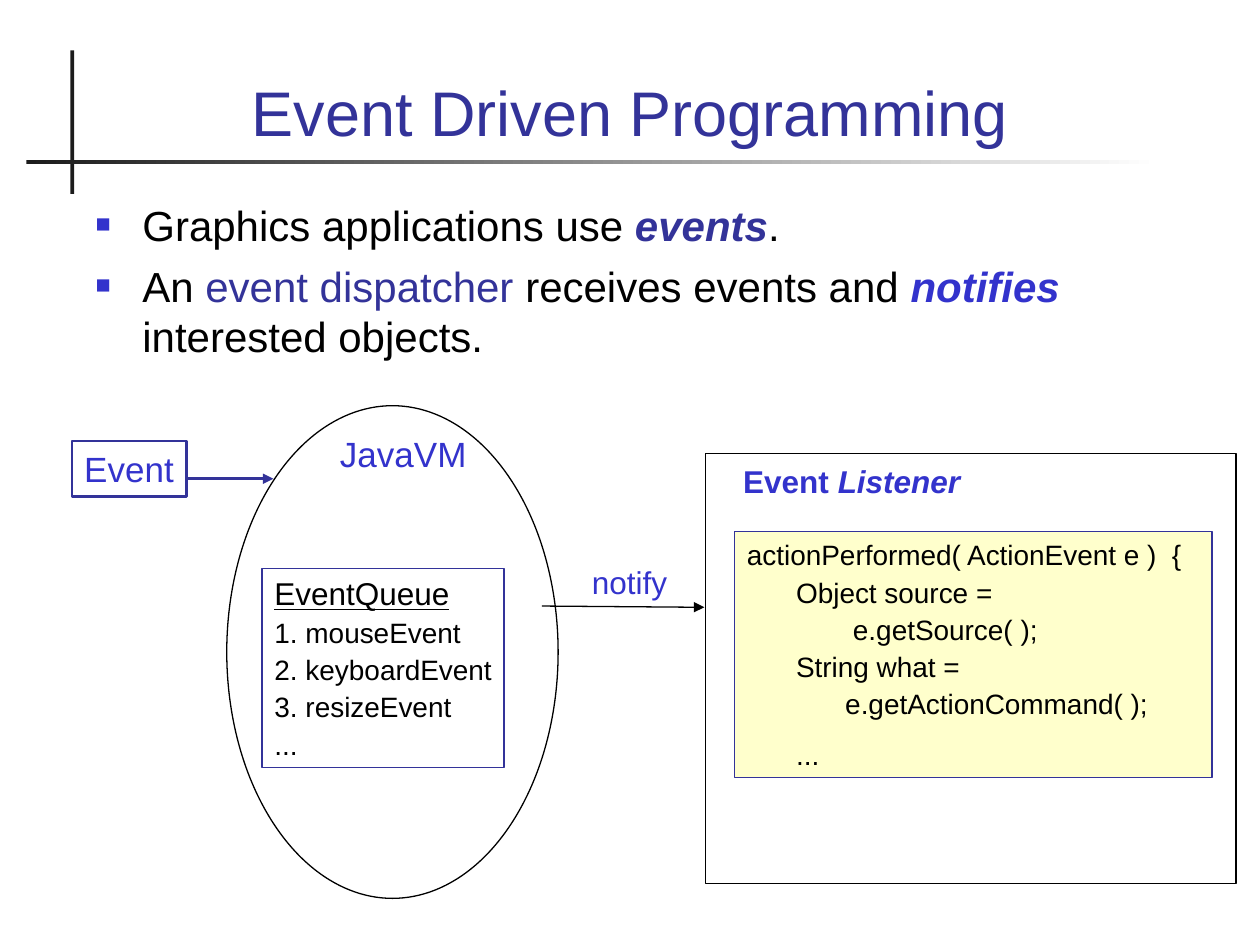
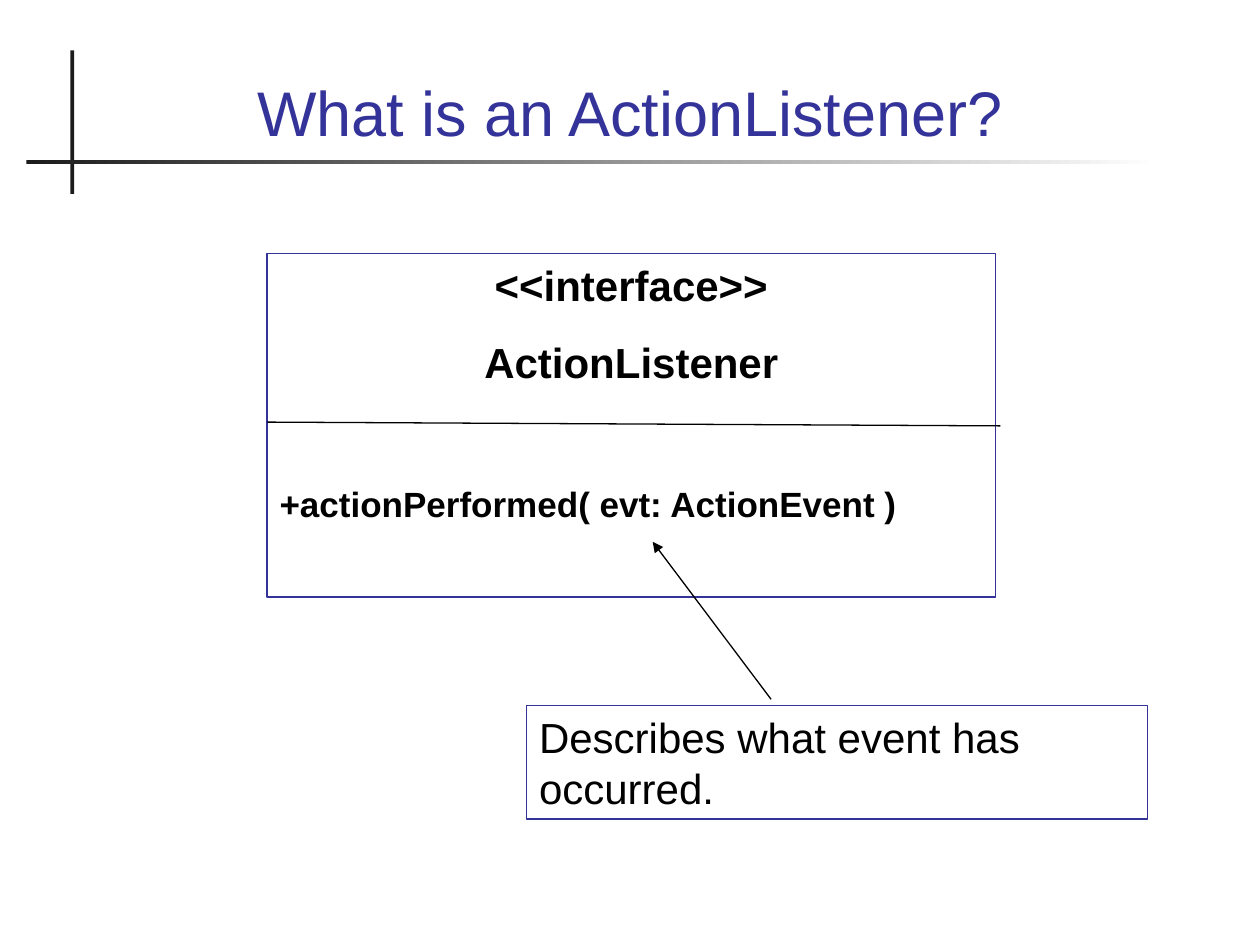
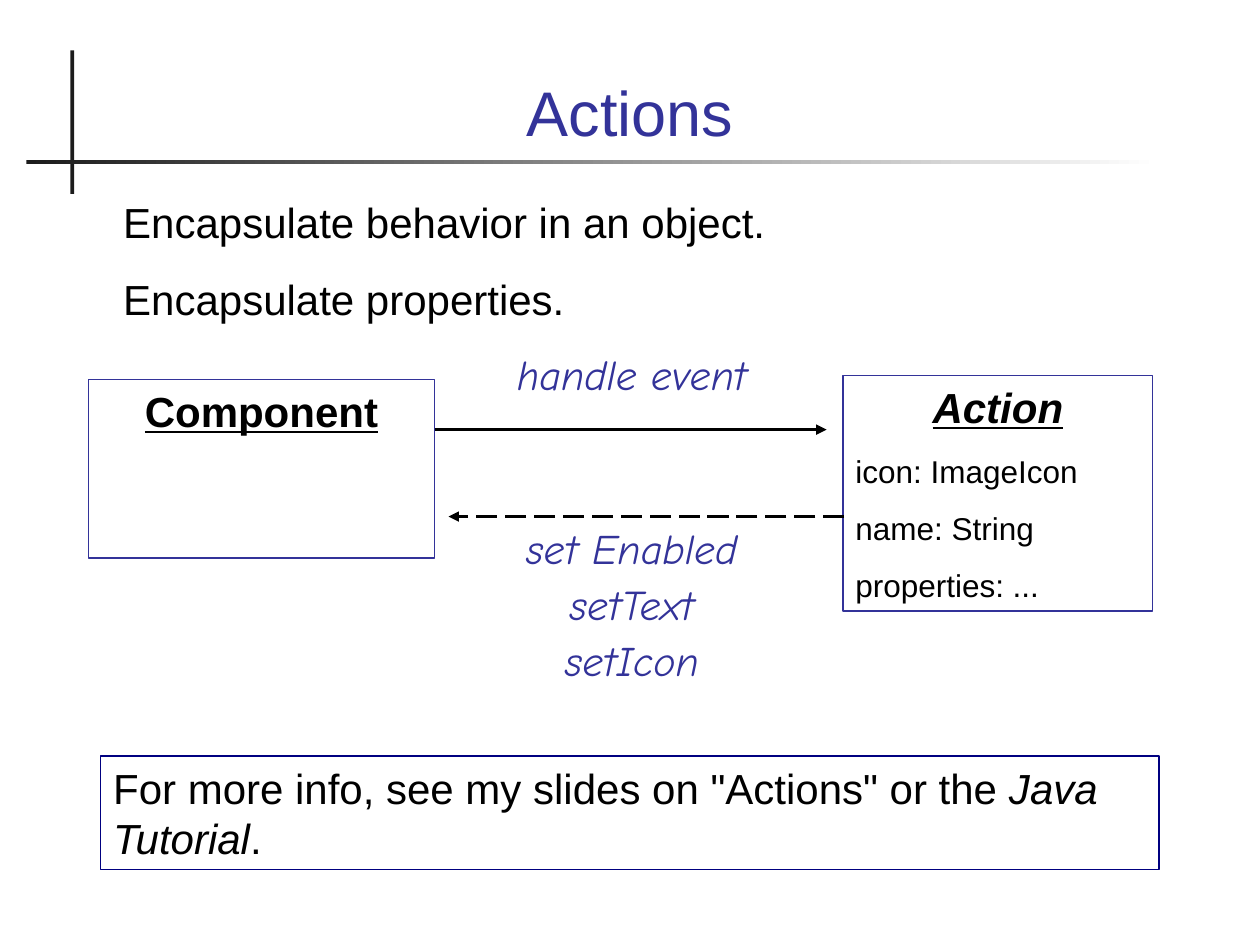
import pptx
import pptx.util
import pptx.dml.color
import pptx.enum.dml
import pptx.enum.shapes
import pptx.enum.text
import pptx.oxml
from pptx.oxml.ns import qn
from lxml import etree

Inches = pptx.util.Inches
Pt = pptx.util.Pt
Shape = pptx.enum.shapes.MSO_SHAPE
Align = pptx.enum.text.PP_ALIGN
Anchor = pptx.enum.text.MSO_ANCHOR


class Theme:
    navy, blue, deep = "333399", "3333CC", "000080"
    black, white, dark, cream = "000000", "FFFFFF", "1C1C1C", "FFFFCC"
    sans, comic = "Arial", "Comic Neue"
    title, large, mid, small, code = 36, 24, 20, 18, 16
    thin, thick = 0.75, 1.5
    title_at = (0.67, 0.28, 8.66, 0.95)
    body_at = (0.66, 1.53, 8.66, 1.52)
    stem_at = (0.56, 0.4, 0.03, 1.14)
    rule_at = (0.21, 1.27, 8.99, 0.03)


T = Theme
MID = {"size": T.mid, "color": T.blue, "wrap": False}
LABEL = {"size": T.small, "color": T.blue, "wrap": False}
SPEECH = {"font": T.comic, "color": T.navy, "italic": True, "align": Align.CENTER}
CODE = {"size": T.code, "gap": 2}
HEAD = {"bold": True, "align": Align.CENTER}
PLAIN = {"size": T.small, "gap": 11.2}
TAB = 0.39

# A paragraph is a string or a list of runs; a run is a string or (text, format).
# The format of the first run also sets its paragraph's gap, left and align.
SLIDES = [
    {
        "title": "Event Driven Programming",
        "body": [
            ["Graphics applications use ",
             ("events", {"color": T.navy, "bold": True, "italic": True}), "."],
            ["An ", ("event dispatcher", {"color": T.navy}), " receives events and ",
             ("notifies", {"color": T.blue, "bold": True, "italic": True}),
             " interested objects."],
        ],
        "parts": [
            ("box", (0.57, 3.5, 0.91, 0.44), ["Event"], {"width": T.thick, **MID}),
            ("text", (2.6, 3.38, 1.2, 0.44), ["JavaVM"], MID),
            ("box", (2.08, 4.51, 1.92, 1.58), [
                [("EventQueue", {"size": T.small, "underline": True})],
                "1. mouseEvent", "2. keyboardEvent", "3. resizeEvent", "...",
            ], {"wrap": False, **CODE}),
            ("oval", (1.8, 3.22, 2.63, 3.91), [], {"line": T.black}),
            ("arrow", (1.49, 3.8, 2.17, 3.8), {"color": T.navy, "width": T.thick}),
            ("box", (5.83, 4.22, 3.79, 1.95), [
                "actionPerformed( ActionEvent e )  {",
                [("Object source =", {"left": TAB})],
                [(" e.getSource( );", {"left": 2 * TAB})],
                [("String what =", {"left": TAB})],
                [("e.getActionCommand( );", {"left": 2 * TAB})],
                [("...", {"left": TAB, "gap": 10})],
            ], {"fill": T.cream, **CODE}),
            ("text", (5.8, 3.62, 1.92, 0.4),
             [["Event ", ("Listener", {"italic": True})]], {"bold": True, **LABEL}),
            ("box", (5.6, 3.6, 4.21, 3.41), [], {"line": T.black}),
            ("arrow", (4.3, 4.81, 5.59, 4.82), {}),
            ("text", (4.6, 4.42, 0.8, 0.4), ["notify"], LABEL),
        ],
    },
    {
        "title": "What is an ActionListener?",
        "parts": [
            ("box", (2.12, 2.01, 5.78, 2.73), [
                "<<interface>>", "ActionListener",
                [("+actionPerformed( evt: ActionEvent )",
                  {"size": T.mid, "align": Align.LEFT, "gap": 55})],
            ], {"gap": 15, **HEAD}),
            ("arrow", (2.12, 3.35, 7.94, 3.38), {"head": False}),
            ("box", (4.18, 5.6, 4.93, 0.9), ["Describes what event has occurred."], {}),
            ("arrow", (6.12, 5.55, 5.18, 4.3), {}),
        ],
    },
    {
        "title": "Actions",
        "parts": [
            ("box", (0.7, 3.01, 2.75, 1.42), ["Component"], {"underline": True, **HEAD}),
            ("box", (6.69, 2.98, 2.46, 1.87), [
                [("Action", {"size": T.large, "italic": True, "underline": True, **HEAD})],
                "icon: ImageIcon", "name: String", "properties: ...",
            ], PLAIN),
            ("arrow", (3.45, 3.41, 6.56, 3.41), {"width": T.thick}),
            ("text", (3.51, 2.72, 3.01, 0.5), ["handle event"], SPEECH),
            ("arrow", (6.7, 4.1, 3.56, 4.1), {"width": T.thick, "dash": True}),
            ("text", (3.51, 4.1, 3.01, 1.39), ["set Enabled", "setText", "setIcon"],
             {"gap": 3, **SPEECH}),
            ("text", (0.88, 1.51, 8.27, 1.11),
             ["Encapsulate behavior in an object.", "Encapsulate properties."], {"gap": 15}),
            ("box", (0.8, 6, 8.4, 0.9), [
                ['For more info, see my slides on "Actions" or the ',
                 ("Java Tutorial", {"italic": True}), "."],
            ], {"line": T.deep}),
        ],
    },
]


def rgb(code):
    return pptx.dml.color.RGBColor.from_string(code)


def place(at):
    return [Inches(n) for n in at]


def add_bullet(para):
    props = para._p.get_or_add_pPr()
    props.set("marL", str(Inches(0.37)))
    props.set("indent", str(-Inches(0.37)))
    color = etree.SubElement(props, qn("a:buClr"))
    etree.SubElement(color, qn("a:srgbClr"), val=T.blue)
    etree.SubElement(props, qn("a:buSzPct"), val="60000")
    etree.SubElement(props, qn("a:buFont"), typeface=T.sans)
    etree.SubElement(props, qn("a:buChar"), char="■")


def write(frame, paras, wrap=True, anchor=Anchor.TOP, bullet=False, **base):
    frame.word_wrap = wrap
    frame.auto_size = pptx.enum.text.MSO_AUTO_SIZE.NONE
    frame.vertical_anchor = anchor
    for i, runs in enumerate(paras):
        para = frame.add_paragraph() if i else frame.paragraphs[0]
        if bullet:
            add_bullet(para)
        runs = [runs] if isinstance(runs, str) else runs
        runs = [(run, {}) if isinstance(run, str) else run for run in runs]
        lead = base | runs[0][1]
        para.alignment = lead.get("align", Align.LEFT)
        para.space_before = Pt(lead.get("gap", 0) if i else 0)
        if "left" in lead:
            para._p.get_or_add_pPr().set("marL", str(Inches(lead["left"])))
        for text, extra in runs:
            look = base | extra
            run = para.add_run()
            run.text = text
            font = run.font
            font.name = look.get("font", T.sans)
            font.size = Pt(look.get("size", T.large))
            font.color.rgb = rgb(look.get("color", T.black))
            font.bold = look.get("bold", False)
            font.italic = look.get("italic", False)
            font.underline = look.get("underline", False)


def add_shape(slide, kind, at, fill=None, line=None, width=T.thin):
    shape = slide.shapes.add_shape(kind, *place(at))
    shape.shadow.inherit = False
    if fill:
        shape.fill.solid()
        shape.fill.fore_color.rgb = rgb(fill)
    else:
        shape.fill.background()
    if line:
        shape.line.color.rgb = rgb(line)
        shape.line.width = Pt(width)
    else:
        shape.line.fill.background()
    return shape


def add_box(slide, at, paras, kind=Shape.RECTANGLE, fill=None, line=T.navy,
            width=T.thin, **look):
    shape = add_shape(slide, kind, at, fill, line, width)
    if paras:
        write(shape.text_frame, paras, **look)


def add_oval(slide, at, paras, **look):
    add_box(slide, at, paras, kind=Shape.OVAL, **look)


def add_text(slide, at, paras, **look):
    write(slide.shapes.add_textbox(*place(at)).text_frame, paras, **look)


def add_arrow(slide, ends, color=T.black, width=T.thin, head=True, dash=False):
    kind = pptx.enum.shapes.MSO_CONNECTOR.STRAIGHT
    link = slide.shapes.add_connector(kind, *place(ends))
    link.line.color.rgb = rgb(color)
    link.line.width = Pt(width)
    if dash:
        link.line.dash_style = pptx.enum.dml.MSO_LINE.LONG_DASH
    if head:
        etree.SubElement(link.line._get_or_add_ln(), qn("a:tailEnd"), type="triangle")
    etree.SubElement(link._element.spPr, qn("a:effectLst"))


def add_cross(deck, slide):
    """Draw the stem and the fading rule, then move them to the slide master."""
    stem = add_shape(slide, Shape.RECTANGLE, T.stem_at, fill=T.dark)
    rule = add_shape(slide, Shape.RECTANGLE, T.rule_at)
    rule.fill.gradient()
    rule.fill.gradient_angle = 0
    for stop, color in zip(rule.fill.gradient_stops, (T.dark, T.white)):
        stop.color.rgb = rgb(color)
    tree = deck.slide_master.shapes.element
    for i, shape in enumerate((stem, rule)):
        shape.element.nvSpPr.cNvPr.set("id", str(100 + i))
        tree.insert(2 + i, shape.element)


DRAW = {"box": add_box, "oval": add_oval, "text": add_text, "arrow": add_arrow}


def fill_holder(holder, at, paras, **look):
    holder.left, holder.top, holder.width, holder.height = place(at)
    write(holder.text_frame, paras, **look)


def main():
    deck = pptx.Presentation()
    deck.slide_width, deck.slide_height = Inches(10), Inches(7.5)
    for i, page in enumerate(SLIDES):
        layout = deck.slide_layouts[1 if "body" in page else 5]
        slide = deck.slides.add_slide(layout)
        if i == 0:
            add_cross(deck, slide)
        fill_holder(slide.shapes.title, T.title_at, [page["title"]], size=T.title,
                    color=T.navy, align=Align.CENTER, anchor=Anchor.BOTTOM)
        if "body" in page:
            fill_holder(slide.placeholders[1], T.body_at, page["body"],
                        gap=6, bullet=True)
        for kind, at, *rest in page["parts"]:
            *paras, look = rest
            DRAW[kind](slide, at, *paras, **look)
    deck.save("out.pptx")


if __name__ == "__main__":
    main()
